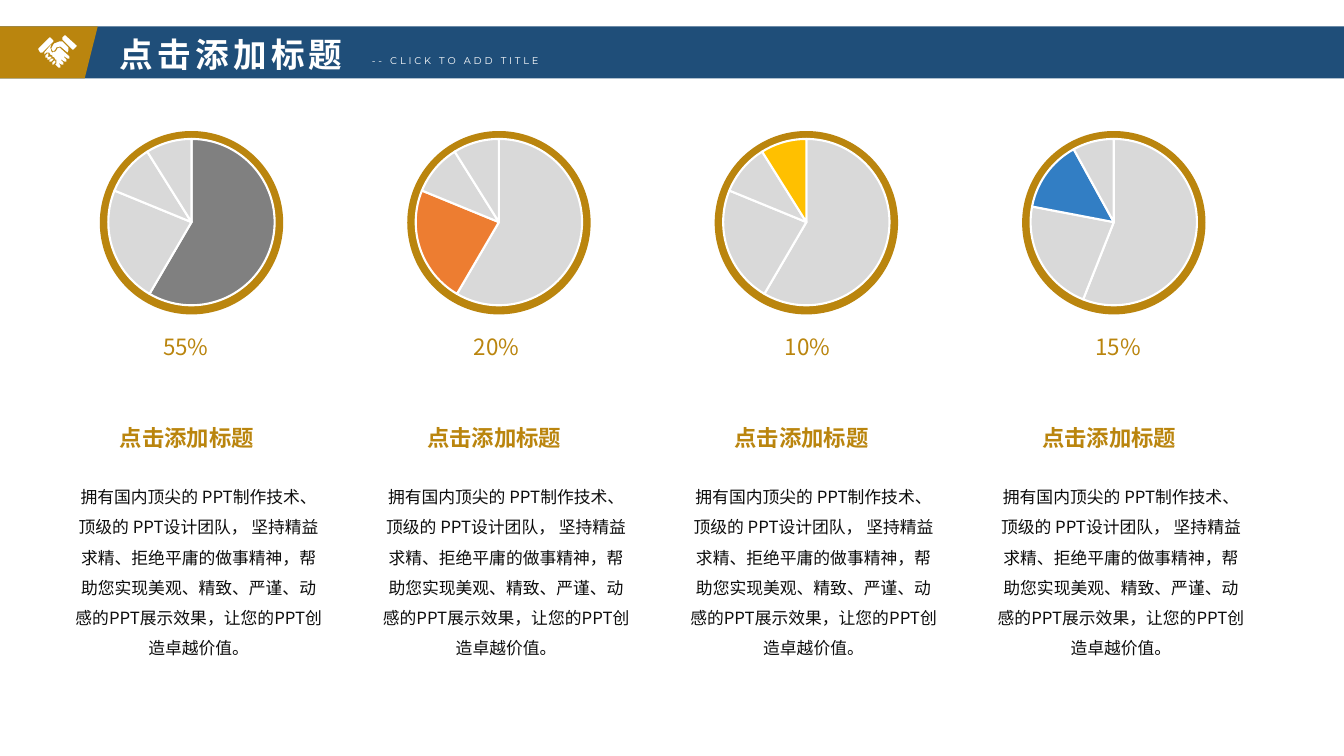
import pptx
import pptx.chart.data
import pptx.dml.color
import pptx.enum.chart
import pptx.enum.shapes
import pptx.enum.text
import pptx.oxml
import pptx.oxml.ns
import pptx.util

Pt = pptx.util.Pt
qn = pptx.oxml.ns.qn
SHAPE = pptx.enum.shapes.MSO_SHAPE
ALIGN = pptx.enum.text.PP_ALIGN

COLORS = {
    "navy": "1F4E79", "gold": "BA850E", "white": "FFFFFF", "mist": "FCFDFE",
    "ink": "0D0D0D", "black": "000000", "pale": "D9D9D9", "gray": "808080",
    "orange": "ED7D31", "yellow": "FFC000", "blue": "327EC4",
}
CJK = "Noto Sans CJK SC"
HEADING = "点击添加标题"
BODY = ("拥有国内顶尖的 PPT制作技术、顶级的 PPT设计团队， 坚持精益求精、拒绝平庸的做事精神，"
        "帮助您实现美观、精致、严谨、动感的PPT展示效果，让您的PPT创造卓越价值。")
COLUMNS = [
    ("55%", (59, 23, 10, 9), 0, "gray"),
    ("20%", (59, 23, 10, 9), 1, "orange"),
    ("10%", (59, 23, 10, 9), 3, "yellow"),
    ("15%", (56, 22, 14, 8), 2, "blue"),
]
HANDSHAKE = [
    [[(36, 14), (35, 14), (25, 4), (25, 2), (27, 0), (28, 0), (39, 10), (39, 11)]],
    [[(32, 21), (22, 12), (20, 13), (19, 15), (18, 16), (15, 17), (14, 16), (13, 12),
      (14, 9), (7, 17), (7, 19), (9, 17), (12, 17), (13, 19), (15, 20), (15, 21),
      (17, 22), (18, 24), (19, 24), (19, 28), (18, 29), (21, 32), (23, 32), (23, 30),
      (21, 27), (24, 29), (26, 29), (26, 27), (23, 24), (24, 24), (27, 26), (29, 26),
      (29, 24), (26, 21), (27, 21), (30, 23), (32, 23)]],
    [[(16, 5), (16, 6), (5, 17), (3, 17), (1, 14), (1, 13), (12, 2), (13, 2)]],
    [[(31, 12), (25, 6), (22, 6), (17, 8), (16, 9), (14, 13), (15, 15), (16, 16),
      (18, 14), (19, 12), (23, 11), (30, 17), (31, 15)],
     [(11, 18), (10, 18), (8, 20), (8, 22), (10, 22), (11, 20)],
     [(14, 21), (12, 21), (10, 22), (10, 24), (12, 24), (14, 22)],
     [(17, 25), (15, 27), (15, 29), (16, 29), (18, 27), (18, 25)],
     [(16, 23), (14, 23), (12, 25), (12, 26), (14, 26), (16, 24)]],
]


def paint(shape, color):
    shape.shadow.inherit = False
    shape.fill.solid()
    shape.fill.fore_color.rgb = rgb(color)
    shape.line.fill.background()


def rgb(name):
    return pptx.dml.color.RGBColor.from_string(COLORS[name])


def add_filled(s, kind, x, y, w, h, color):
    paint(s.shapes.add_shape(kind, Pt(x), Pt(y), Pt(w), Pt(h)), color)


def write(shape, text, size, color, font=CJK, bold=False, align=ALIGN.LEFT,
          spacing=None, tracking=0, wrap=True):
    tf = shape.text_frame
    tf.word_wrap = wrap
    tf.auto_size = pptx.enum.text.MSO_AUTO_SIZE.NONE
    p = tf.paragraphs[0]
    p.text = text
    p.alignment = align
    p.line_spacing = spacing
    p.font.size = Pt(size)
    p.font.bold = bold
    p.font.color.rgb = rgb(color)
    p.font.name = font
    props = shape.element.find(".//" + qn("a:defRPr"))
    props.set("spc", str(tracking * 100))
    latin = props.find(qn("a:latin"))
    latin.addnext(props.makeelement(qn("a:ea"), {"typeface": font}))


def add_text(s, x, y, w, h, text, size, color, **style):
    box = s.shapes.add_textbox(Pt(x), Pt(y), Pt(w), Pt(h))
    write(box, text, size, color, **style)


def add_handshake(s, x, y):
    for contours in HANDSHAKE:
        builder = s.shapes.build_freeform(*contours[0][0], scale=Pt(0.72))
        for i, points in enumerate(contours):
            if i:
                builder.move_to(*points[0])
            builder.add_line_segments(points[1:], close=True)
        paint(builder.convert_to_shape(Pt(x), Pt(y)), "white")


def add_header(s, x, y, h):
    add_filled(s, SHAPE.PARALLELOGRAM, x - 34, y, 1028, h, "navy")
    add_filled(s, SHAPE.PARALLELOGRAM, x - 29, y, 98.8, h, "gold")
    add_handshake(s, x + 26.6, y + 6.4)
    title = s.shapes.title
    title.left, title.top = Pt(x + 78.5), Pt(y + 1.4)
    title.width, title.height = Pt(211), Pt(h)
    write(title, HEADING, 24, "white", bold=True, tracking=3)
    title.text_frame.vertical_anchor = pptx.enum.text.MSO_ANCHOR.MIDDLE
    title.element.getparent().append(title.element)
    add_text(s, x + 258.5, y + 16.5, 186.5, 15.8, "-- CLICK TO ADD TITLE",
             7, "white", font="Montserrat", tracking=2)


def add_pie(s, x, y, w, h, values, active, color):
    data = pptx.chart.data.CategoryChartData()
    data.categories = ["1", "2", "3", "4"]
    data.add_series("Series 1", values)
    chart = s.shapes.add_chart(pptx.enum.chart.XL_CHART_TYPE.PIE,
                               Pt(x), Pt(y), Pt(w), Pt(h), data).chart
    chart.has_legend = False
    chart.has_title = False
    chart.font.name = "Calibri"
    chart.font.size = Pt(10)
    chart.font.color.rgb = rgb("black")
    plot = chart.plots[0]
    plot.vary_by_categories = False
    for i in range(len(values)):
        wedge = plot.series[0].points[i].format
        wedge.fill.solid()
        wedge.fill.fore_color.rgb = rgb(color if i == active else "pale")
        wedge.line.color.rgb = rgb("white")
        wedge.line.width = Pt(1.5)
    area = chart.element.find(".//" + qn("c:plotArea"))
    for old in area.findall(qn("c:layout")):
        area.remove(old)
    layout = pptx.oxml.parse_xml(
        '<c:layout xmlns:c="http://schemas.openxmlformats.org/drawingml/2006/chart">'
        '<c:manualLayout><c:layoutTarget val="inner"/><c:xMode val="edge"/>'
        '<c:yMode val="edge"/><c:x val="0.07"/><c:y val="0.08"/>'
        '<c:w val="0.86"/><c:h val="0.83"/></c:manualLayout></c:layout>')
    area.insert(0, layout)


def add_column(s, x, y, w, values, active, color):
    add_filled(s, SHAPE.OVAL, x + 25.9, y, 131, 131, "gold")
    add_pie(s, x + 22.3, y - 5.8, 138.2, 143.3, values, active, color)
    add_text(s, x, y + 243.4, w, 138.2, BODY, 12, "ink",
             align=ALIGN.CENTER, spacing=1.5)
    add_text(s, x + 33.1, y + 205.9, 111.6, 26.6, HEADING, 16, "gold",
             bold=True, wrap=False)


def main():
    prs = pptx.Presentation()
    prs.slide_width, prs.slide_height = Pt(960), Pt(540)
    s = prs.slides.add_slide(prs.slide_layouts[5])
    fill = s.background.fill
    fill.gradient()
    fill.gradient_angle = 0
    for stop, color in zip(fill.gradient_stops, ("white", "mist")):
        stop.color.rgb = rgb(color)
    add_header(s, 0, 18.9, 37)
    for i, (share, values, active, color) in enumerate(COLUMNS):
        add_column(s, 45.4 + 219.6 * i, 93.6, 193, values, active, color)
        add_text(s, 109.4 + 222 * i, 234.7, 49.7, 26.6, share, 16, "gold", wrap=False)
    prs.save("out.pptx")


if __name__ == "__main__":
    main()
